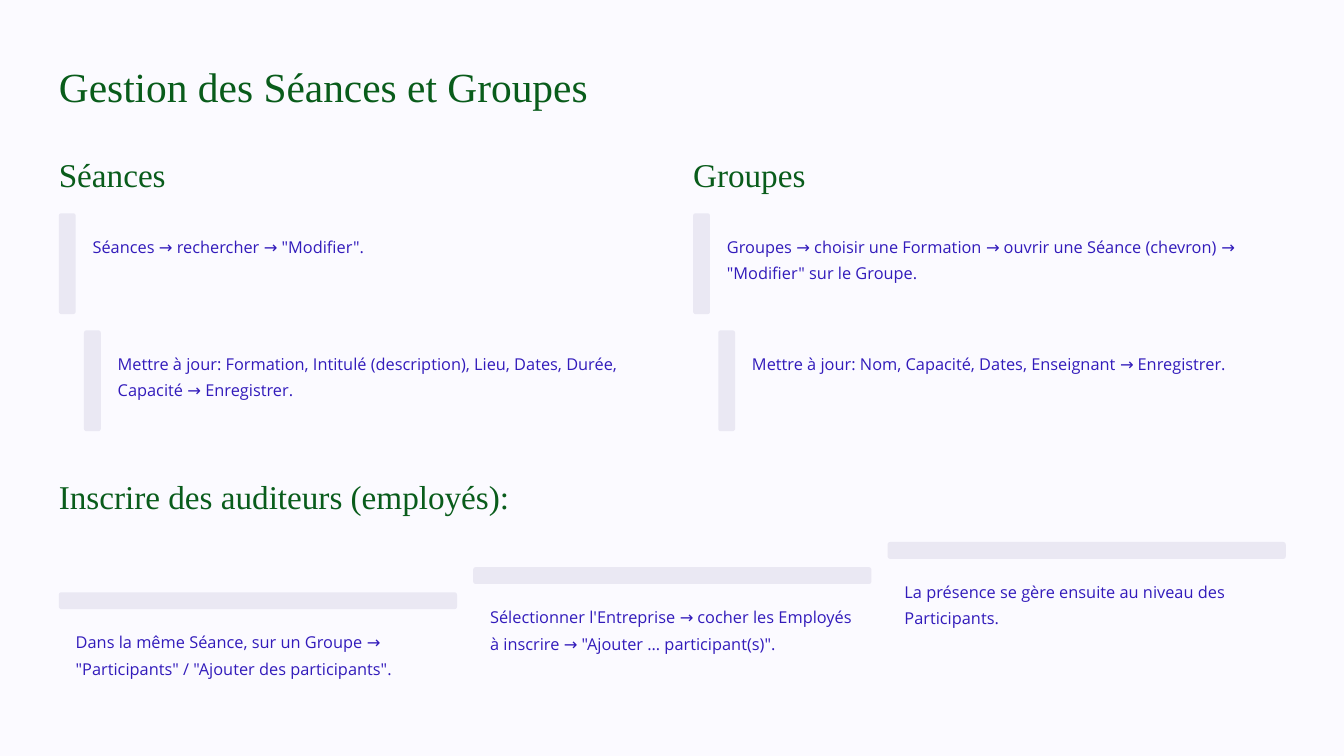
"""Build a slide on managing sessions and groups."""
import pptx
import pptx.util
import pptx.dml.color
import pptx.enum.shapes
import pptx.enum.text

Cm = pptx.util.Cm
Pt = pptx.util.Pt

GREEN = pptx.dml.color.RGBColor(0x09, 0x5C, 0x1B)
VIOLET = pptx.dml.color.RGBColor(0x32, 0x1B, 0xBB)
LILAC = pptx.dml.color.RGBColor(0xEA, 0xE8, 0xF3)
PAPER = pptx.dml.color.RGBColor(0xFB, 0xFA, 0xFF)

SERIF = "Times New Roman"
SANS = "Open Sans"

LEFT = 1.78
BAR = 0.51
SHIFT = 0.76

TOPICS = [
    ("Séances", [
        'Séances → rechercher → "Modifier".',
        "Mettre à jour: Formation, Intitulé (description), Lieu, Dates, Durée, "
        "Capacité → Enregistrer.",
    ]),
    ("Groupes", [
        "Groupes → choisir une Formation → ouvrir une Séance (chevron) → "
        '"Modifier" sur le Groupe.',
        "Mettre à jour: Nom, Capacité, Dates, Enseignant → Enregistrer.",
    ]),
]
STAIRS = [
    'Dans la même Séance, sur un Groupe → "Participants" / "Ajouter des participants".',
    "Sélectionner l'Entreprise → cocher les Employés à inscrire → "
    '"Ajouter … participant(s)".',
    "La présence se gère ensuite au niveau des Participants.",
]


def place(shape, left, top, width, height):
    shape.left, shape.top = Cm(left), Cm(top)
    shape.width, shape.height = Cm(width), Cm(height)


def write(shape, text, font, size, color, pitch):
    frame = shape.text_frame
    frame.text = text
    frame.word_wrap = True
    frame.auto_size = pptx.enum.text.MSO_AUTO_SIZE.NONE
    frame.vertical_anchor = pptx.enum.text.MSO_ANCHOR.TOP
    frame.margin_left = frame.margin_right = 0
    frame.margin_top = frame.margin_bottom = 0
    line = frame.paragraphs[0]
    line.alignment = pptx.enum.text.PP_ALIGN.LEFT
    line.line_spacing = Pt(pitch)
    style = line.runs[0].font
    style.name, style.size = font, Pt(size)
    style.color.rgb = color


def add_head(slide, text, left, top):
    box = slide.shapes.add_textbox(Cm(left), Cm(top), Cm(17.35), Cm(1.27))
    write(box, text, SERIF, 28.5, GREEN, 35.5)


def add_note(slide, text, left, top, width):
    box = slide.shapes.add_textbox(Cm(left), Cm(top), Cm(width), Cm(1.63))
    write(box, text, SANS, 14, VIOLET, 22.5)


def add_bar(slide, left, top, width, height):
    kind = pptx.enum.shapes.MSO_SHAPE.ROUNDED_RECTANGLE
    bar = slide.shapes.add_shape(kind, Cm(left), Cm(top), Cm(width), Cm(height))
    bar.adjustments[0] = 0.15
    bar.shadow.inherit = False
    bar.fill.solid()
    bar.fill.fore_color.rgb = LILAC
    bar.line.fill.background()


def add_topic(slide, head, steps, left):
    add_head(slide, head, left, 4.62)
    for row, text in enumerate(steps):
        inset = row * SHIFT
        top = 6.45 + row * 3.54
        add_bar(slide, left + inset, top, BAR, 3.05)
        add_note(slide, text, left + inset + 2 * BAR, top + BAR, 16.92 - inset)


def add_stairs(slide, steps):
    add_head(slide, "Inscrire des auditeurs (employés):", LEFT, 14.35)
    for col, text in enumerate(steps):
        left = LEFT + col * 12.53
        top = 17.91 - col * SHIFT
        add_bar(slide, left, top, 12.04, BAR)
        add_note(slide, text, left + BAR, top + 2 * BAR, 11.02)


def main():
    deck = pptx.Presentation()
    deck.slide_width, deck.slide_height = Cm(40.64), Cm(22.86)
    slide = deck.slides.add_slide(deck.slide_layouts.get_by_name("Title Only"))
    slide.background.fill.solid()
    slide.background.fill.fore_color.rgb = PAPER

    title = slide.shapes.title
    place(title, LEFT, 1.78, 20.45, 1.57)
    write(title, "Gestion des Séances et Groupes", SERIF, 35.5, GREEN, 44.5)

    for col, (head, steps) in enumerate(TOPICS):
        add_topic(slide, head, steps, LEFT + col * 19.18)
    add_stairs(slide, STAIRS)
    deck.save("out.pptx")


if __name__ == "__main__":
    main()
